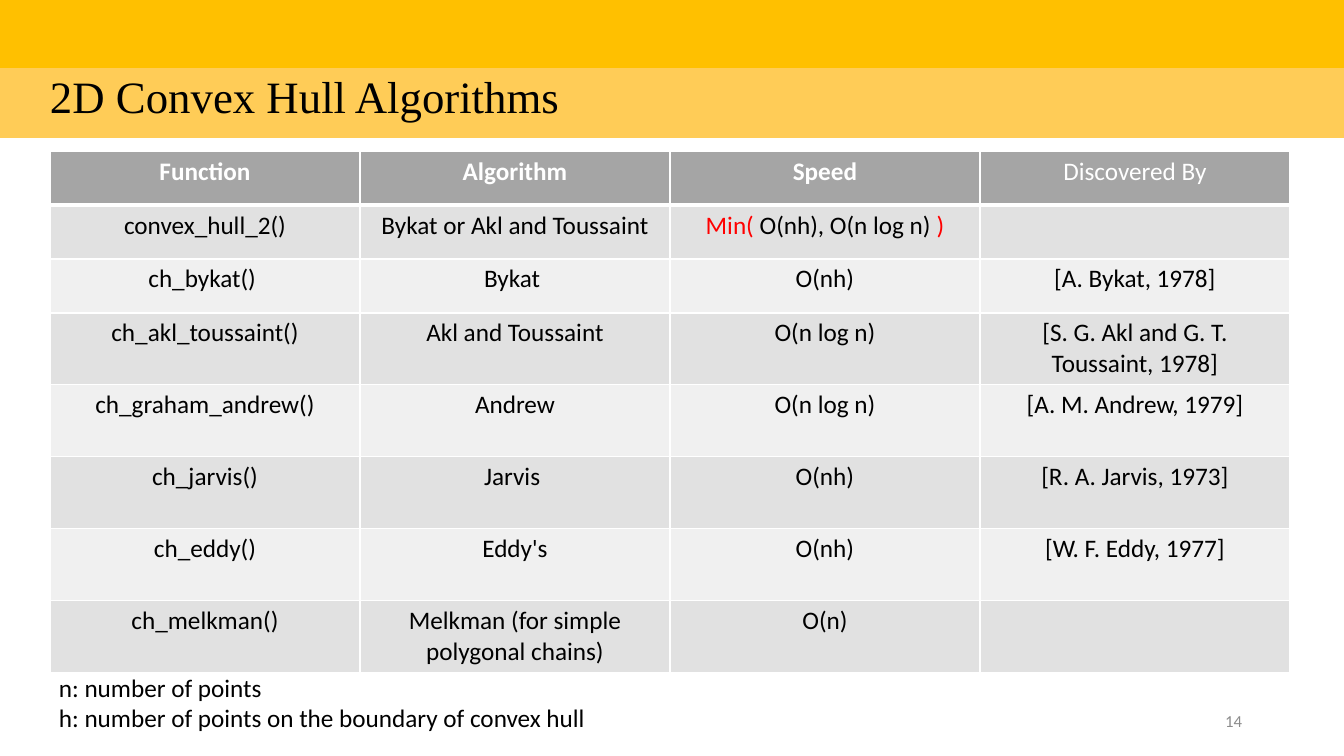
from lxml import etree
from pptx import Presentation
from pptx import util as u
from pptx.dml.color import RGBColor
from pptx.enum import text
from pptx.oxml import ns

SCALE = 914400 / 100.8
WHITE, BLACK, RED, GOLD = "FFFFFF", "000000", "FF0000", "FFC000"
PLAIN = "{2D5ABB26-0587-4C30-8999-92F81FD0307C}"
HEADS = ["Function", "Algorithm", "Speed", "Discovered By"]
BODY = [
    ["convex_hull_2()", "Bykat or Akl and Toussaint",
     [("Min( ", RED), ("O(nh), O(n log n) ", BLACK), (")", RED)], ""],
    ["ch_bykat() ", "Bykat ", "O(nh)", "[A. Bykat, 1978]"],
    ["ch_akl_toussaint()", "Akl and Toussaint", "O(n log n)",
     "[S. G. Akl and G. T. Toussaint, 1978]"],
    ["ch_graham_andrew()", "Andrew", "O(n log n)", "[A. M. Andrew, 1979]"],
    ["ch_jarvis()", "Jarvis ", "O(nh)", "[R. A. Jarvis, 1973]"],
    ["ch_eddy()", "Eddy's", "O(nh)", "[W. F. Eddy, 1977]"],
    ["ch_melkman()", "Melkman (for simple polygonal chains)", "O(n)", ""],
]


def px(count):
    """Turn pixels into EMU."""
    return u.Emu(round(count * SCALE))


def tint(code):
    """Turn a hex string into a colour."""
    return RGBColor.from_string(code)


def write(para, words, size=18, hue=BLACK, face="Calibri", bold=False, align="LEFT"):
    """Fill a paragraph with one run, or with a list of coloured runs."""
    para.alignment = getattr(text.PP_ALIGN, align)
    parts = [(words, hue)] if isinstance(words, str) else words
    for part, shade in parts:
        if part:
            run = para.add_run()
            run.text = part
            run.font.size = u.Pt(size)
            run.font.name = face
            run.font.bold = bold
            run.font.color.rgb = tint(shade)


def paint(cell, code):
    """Give a cell a solid fill."""
    cell.fill.solid()
    cell.fill.fore_color.rgb = tint(code)


def edge(cell, side, width):
    """Add a white border to one side of a cell."""
    props = cell._tc.get_or_add_tcPr()
    line = etree.SubElement(props, ns.qn("a:ln" + side), w=str(u.Pt(width)))
    fill = etree.SubElement(line, ns.qn("a:solidFill"))
    etree.SubElement(fill, ns.qn("a:srgbClr"), val=WHITE)


def grid(slide, left, top, cols, rows):
    """Add an unstyled table with the given column widths and row heights."""
    frame = slide.shapes.add_table(len(rows), len(cols), px(left), px(top),
                                   px(sum(cols)), px(sum(rows)))
    table = frame.table
    table.first_row = table.horz_banding = False
    table._tbl.tblPr.find(ns.qn("a:tableStyleId")).text = PLAIN
    for col, width in zip(table.columns, cols):
        col.width = px(width)
    for row, height in zip(table.rows, rows):
        row.height = px(height)
    return table


def chart(slide):
    """Add the table of hull functions."""
    table = grid(slide, 50, 151, [310] * 4, [54] * 3 + [72] * 5)
    for y, line in enumerate([HEADS] + BODY):
        for x, words in enumerate(line):
            cell = table.cell(y, x)
            for side in "LRTB":
                thick = (y == 0 and side == "B") or (y == 1 and side == "T")
                edge(cell, side, 3 if thick else 1)
            paint(cell, "A5A5A5" if y == 0 else "E1E1E1" if y % 2 else "F0F0F0")
            write(cell.text_frame.paragraphs[0], words, align="CENTER",
                  hue=BLACK if y else WHITE, bold=y == 0 and x < 3)


def banner(slide, title):
    """Add the two bands at the top, with the title in the lower one."""
    table = grid(slide, 0, -1, [1344], [69, 70])
    paint(table.cell(0, 0), GOLD)
    cell = table.cell(1, 0)
    paint(cell, "FFCC57")
    cell.margin_left = cell.margin_right = px(50)
    write(cell.text_frame.paragraphs[0], title, size=32, face="Times New Roman")


def label(slide, box, lines, wrap=True, **style):
    """Add a text box with one paragraph a line."""
    frame = slide.shapes.add_textbox(*map(px, box)).text_frame
    frame.word_wrap = wrap
    if wrap:
        frame.vertical_anchor = text.MSO_ANCHOR.MIDDLE
    else:
        frame.auto_size = text.MSO_AUTO_SIZE.SHAPE_TO_FIT_TEXT
    for i, line in enumerate(lines):
        para = frame.add_paragraph() if i else frame.paragraphs[0]
        write(para, line, **style)


def main():
    """Build the slide and save it."""
    deck = Presentation()
    deck.slide_width, deck.slide_height = px(1344), px(756)
    slide = deck.slides.add_slide(deck.slide_layouts[6])
    chart(slide)
    label(slide, (49, 667, 562, 72),
          ["n: number of points", "h: number of points on the boundary of convex hull"],
          wrap=False)
    label(slide, (950, 701, 302, 40), ["14"], size=12, hue="8C8C8C", align="RIGHT")
    banner(slide, "2D Convex Hull Algorithms")
    deck.save("out.pptx")


if __name__ == "__main__":
    main()
